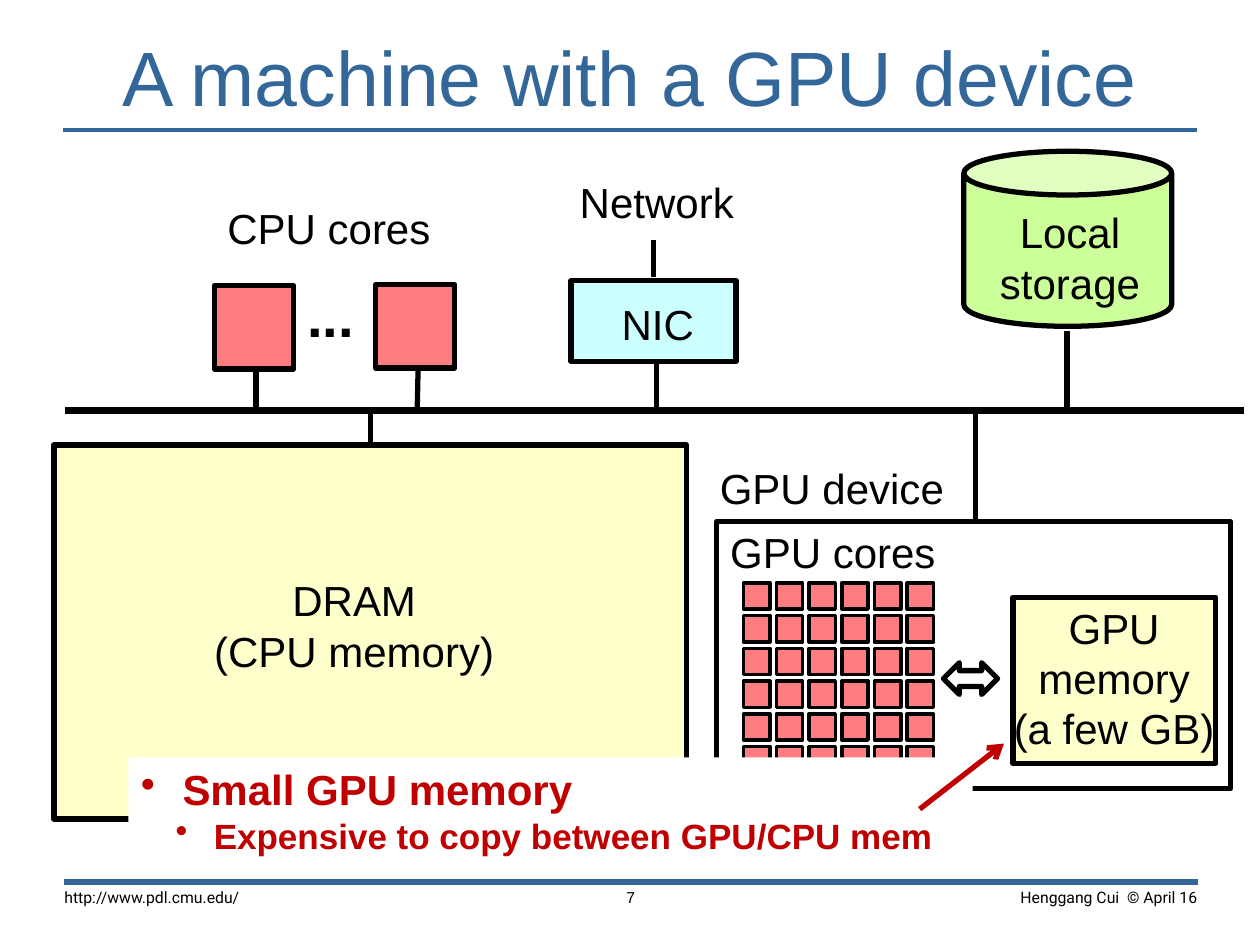
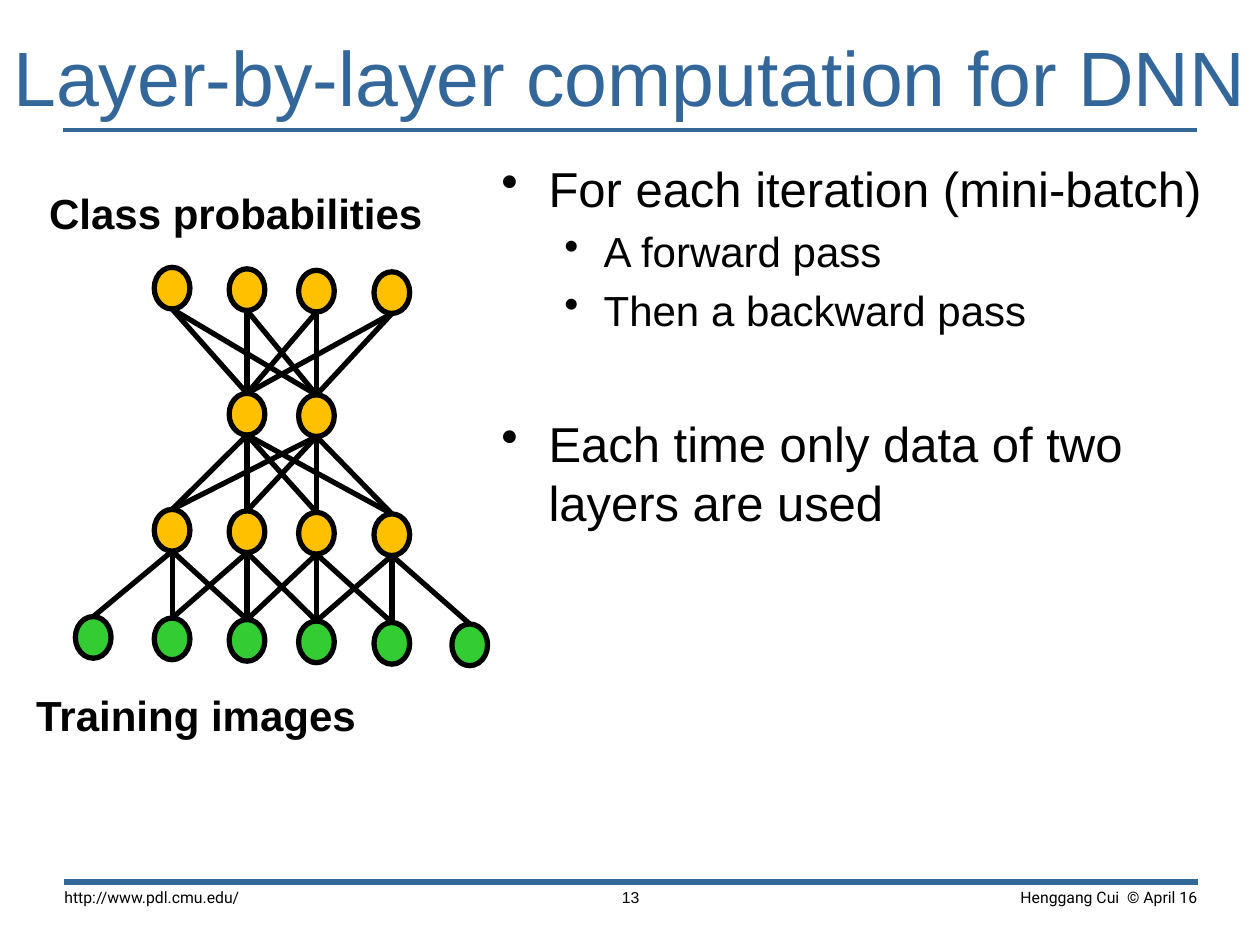
"""Build two slides: a machine with a GPU device, and layer-by-layer DNN computation."""
import itertools
from dataclasses import dataclass

import pptx
import pptx.dml.color
import pptx.enum.shapes
import pptx.enum.text
import pptx.oxml.ns
import pptx.slide
import pptx.util
from lxml import etree
from pptx.util import Cm

COLOURS = {
    "black": "000000", "white": "FFFFFF", "title": "336699", "alert": "C00000",
    "core": "FF7C80", "memory": "FFFFCC", "nic": "CCFFFF", "storage": "CCFF99",
    "image": "33CC33", "neuron": "FFC000",
}
KINDS = pptx.enum.shapes.MSO_SHAPE
ALIGN = pptx.enum.text.PP_ALIGN
ANCHOR = pptx.enum.text.MSO_ANCHOR
LINE_PITCH = 1.2
NODE_WIDTH, NODE_HEIGHT = 0.72, 0.84
NODE_CENTRES = (1.88, 3.47, 4.98, 6.38, 7.9, 9.47)
NODE_DRIFT = 0.03


@dataclass(frozen=True)
class Area:
    """A rectangle in centimetres."""
    left: float
    top: float
    width: float
    height: float

    def lengths(self) -> tuple:
        return Cm(self.left), Cm(self.top), Cm(self.width), Cm(self.height)


@dataclass(frozen=True)
class Style:
    """The look of a paragraph; margin and hang are in centimetres."""
    size: float = 24
    colour: str = "black"
    bold: bool = False
    align: ALIGN = ALIGN.LEFT
    font: str = "Arial"
    bullet: bool = False
    margin: float = 0
    hang: float = 0
    before: float = 0


@dataclass(frozen=True)
class Block:
    """A filled or open preset shape."""
    area: Area
    fill: str | None = None
    kind: KINDS = KINDS.RECTANGLE
    weight: float = 3


@dataclass(frozen=True)
class Wire:
    """A straight line between two points in centimetres."""
    x1: float
    y1: float
    x2: float
    y2: float
    weight: float = 3
    colour: str = "black"
    arrow: bool = False


@dataclass(frozen=True)
class Layer:
    """A row of network nodes on a slightly sloping baseline."""
    base: float
    columns: range
    fill: str

    def top(self, column: int) -> float:
        return self.base + NODE_DRIFT * column

    def bottom(self, column: int) -> float:
        return self.top(column) + NODE_HEIGHT


LABEL = Style(align=ALIGN.CENTER)
HEADING = Style(size=44, colour="title", align=ALIGN.CENTER)
STRONG = Style(bold=True)


def rgb(name: str) -> pptx.dml.color.RGBColor:
    return pptx.dml.color.RGBColor.from_string(COLOURS[name])


def add_text(page: pptx.slide.Slide, area: Area, lines: list[tuple[str, Style]],
             inset: tuple[float, float] = (0.25, 0.13), fill: str | None = None,
             anchor: ANCHOR = ANCHOR.TOP) -> None:
    box = page.shapes.add_textbox(*area.lengths())
    if fill:
        box.fill.solid()
        box.fill.fore_color.rgb = rgb(fill)
    frame = box.text_frame
    frame.word_wrap = True
    frame.vertical_anchor = anchor
    frame.margin_left = frame.margin_right = Cm(inset[0])
    frame.margin_top = frame.margin_bottom = Cm(inset[1])
    for index, (text, style) in enumerate(lines):
        para = frame.add_paragraph() if index else frame.paragraphs[0]
        para.text = text
        para.alignment = style.align
        para.line_spacing = pptx.util.Pt(style.size * LINE_PITCH)
        para.space_before = pptx.util.Pt(style.before)
        para.font.name = style.font
        para.font.size = pptx.util.Pt(style.size)
        para.font.bold = style.bold
        para.font.color.rgb = rgb(style.colour)
        if style.bullet:
            add_bullet(para, style)


def add_bullet(para, style: Style) -> None:
    properties = para._p.get_or_add_pPr()
    properties.set("marL", str(Cm(style.margin)))
    properties.set("indent", str(-Cm(style.hang)))
    bullet = etree.Element(pptx.oxml.ns.qn("a:buChar"), char="•")
    properties.find(pptx.oxml.ns.qn("a:defRPr")).addprevious(bullet)


def add_label(page: pptx.slide.Slide, left: float, top: float, *texts: str) -> None:
    area = Area(left, top, 6.76, 0.26 + 1.02 * len(texts))
    add_text(page, area, [(text, LABEL) for text in texts])


def add_block(page: pptx.slide.Slide, block: Block) -> None:
    shape = page.shapes.add_shape(block.kind, *block.area.lengths())
    shape.shadow.inherit = False
    if block.fill:
        shape.fill.solid()
        shape.fill.fore_color.rgb = rgb(block.fill)
    else:
        shape.fill.background()
    shape.line.color.rgb = rgb("black")
    shape.line.width = pptx.util.Pt(block.weight)


def add_wire(page: pptx.slide.Slide, wire: Wire) -> None:
    connector = page.shapes.add_connector(
        pptx.enum.shapes.MSO_CONNECTOR.STRAIGHT,
        Cm(wire.x1), Cm(wire.y1), Cm(wire.x2), Cm(wire.y2))
    connector.line.color.rgb = rgb(wire.colour)
    connector.line.width = pptx.util.Pt(wire.weight)
    if wire.arrow:
        etree.SubElement(connector.line._get_or_add_ln(),
                         pptx.oxml.ns.qn("a:tailEnd"), type="arrow")
    etree.SubElement(connector._element.spPr, pptx.oxml.ns.qn("a:effectLst"))


def add_page(deck, title: str, number: int) -> pptx.slide.Slide:
    page = deck.slides.add_slide(deck.slide_layouts[6])
    add_wire(page, Wire(1.27, 2.62, 24.13, 2.62, 2, "title"))
    add_wire(page, Wire(1.3, 17.78, 24.16, 17.78, 3.5, "title"))
    add_text(page, Area(0, 0.58, 25.4, 1.9), [(title, HEADING)],
             inset=(0, 0.13), anchor=ANCHOR.MIDDLE)
    footers = (
        (17.96, 6.45, "Henggang Cui  © April 16", ALIGN.RIGHT, "Roboto"),
        (1.02, 6.35, "http://www.pdl.cmu.edu/", ALIGN.LEFT, "Roboto"),
        (10.24, 4.95, str(number), ALIGN.CENTER, "Arial"),
    )
    for left, width, text, align, font in footers:
        style = Style(size=9, align=align, font=font)
        add_text(page, Area(left, 17.75, width, 0.8), [(text, style)], inset=(0.28, 0.15))
    return page


def build_machine(deck) -> None:
    page = add_page(deck, "A machine with a GPU device", 7)

    add_block(page, Block(Area(14.45, 10.52, 10.36, 5.38)))
    add_label(page, 13.39, 9.19, "GPU device")
    add_block(page, Block(Area(20.42, 12.04, 4.09, 3.35), "memory"))
    add_label(page, 19.08, 12.01, "GPU", "memory", "(a few GB)")
    for row, column in itertools.product(range(6), repeat=2):
        core = Area(14.99 + 0.66 * column, 11.75 + 0.66 * row, 0.53, 0.53)
        add_block(page, Block(core, "core", weight=2))
    add_block(page, Block(Area(19.02, 13.36, 1.09, 0.64), kind=KINDS.LEFT_RIGHT_ARROW))
    add_label(page, 13.41, 10.49, "GPU cores")

    blocks = (
        Block(Area(1.09, 8.97, 12.75, 7.54), "memory"),
        Block(Area(11.51, 5.66, 3.33, 1.63), "nic"),
        Block(Area(4.32, 5.76, 1.6, 1.68), "core"),
        Block(Area(7.57, 5.74, 1.6, 1.68), "core"),
        Block(Area(19.43, 3.05, 4.19, 3.53), "storage", KINDS.CAN),
    )
    for block in blocks:
        add_block(page, block)
    wires = (
        Wire(1.32, 8.28, 25.07, 8.28, 4),
        Wire(19.66, 8.33, 19.66, 10.54),
        Wire(13.18, 4.83, 13.18, 5.59),
        Wire(13.23, 7.34, 13.23, 8.28),
        Wire(5.16, 7.44, 5.16, 8.33),
        Wire(8.43, 7.37, 8.41, 8.26),
        Wire(21.51, 6.68, 21.51, 8.2),
        Wire(7.47, 8.28, 7.47, 8.94),
    )
    for wire in wires:
        add_wire(page, wire)
    add_label(page, 3.76, 11.46, "DRAM", "(CPU memory)")
    add_label(page, 9.88, 5.89, "NIC")
    add_label(page, 9.86, 3.43, "Network")
    add_label(page, 3.25, 3.96, "CPU cores")
    add_label(page, 18.19, 4.04, "Local", "storage")
    add_text(page, Area(5.94, 5.54, 1.6, 1.63), [("...", Style(size=32, bold=True))])

    add_text(page, Area(2.59, 15.27, 17.02, 2.13), [
        ("Small GPU memory",
         Style(24, "alert", True, bullet=True, margin=0.84, hang=0.84)),
        ("Expensive to copy between GPU/CPU mem",
         Style(20, "alert", True, bullet=True, margin=1.47, hang=0.77)),
    ], fill="white")
    add_wire(page, Wire(18.54, 16.31, 20.24, 14.99, 3, "alert", True))


def build_network(deck) -> None:
    page = add_page(deck, "Layer-by-layer computation for DNN", 13)
    classes = Layer(5.36, range(1, 5), "neuron")
    narrow = Layer(7.87, range(2, 4), "neuron")
    wide = Layer(10.24, range(1, 5), "neuron")
    images = Layer(12.43, range(6), "image")

    for layer in (images, wide, narrow, classes):
        for column in layer.columns:
            node = Area(NODE_CENTRES[column] - NODE_WIDTH / 2, layer.top(column),
                        NODE_WIDTH, NODE_HEIGHT)
            add_block(page, Block(node, layer.fill, KINDS.OVAL))
    for upper, lower, reach in ((wide, images, 1), (narrow, wide, 5), (classes, narrow, 5)):
        for start, end in itertools.product(upper.columns, lower.columns):
            if abs(start - end) <= reach:
                add_wire(page, Wire(NODE_CENTRES[start], upper.bottom(start),
                                    NODE_CENTRES[end], lower.top(end)))

    add_text(page, Area(0.74, 3.66, 8.69, 1.27), [("Class probabilities", STRONG)])
    add_text(page, Area(0.48, 13.77, 8.69, 1.27), [("Training images", STRONG)])

    step = Style(24, bullet=True, margin=2.06, hang=0.79, before=4.8)
    add_text(page, Area(9.86, 3.07, 15.54, 12.9), [
        ("For each iteration (mini-batch)", Style(28, bullet=True, margin=0.95, hang=0.95)),
        ("A forward pass", step),
        ("Then a backward pass", step),
        ("Each time only data of two layers are used",
         Style(28, bullet=True, margin=0.95, hang=0.95, before=44.8)),
    ])


def main() -> None:
    deck = pptx.Presentation()
    deck.slide_width, deck.slide_height = Cm(25.4), Cm(19.05)
    build_machine(deck)
    build_network(deck)
    deck.save("out.pptx")


if __name__ == "__main__":
    main()
